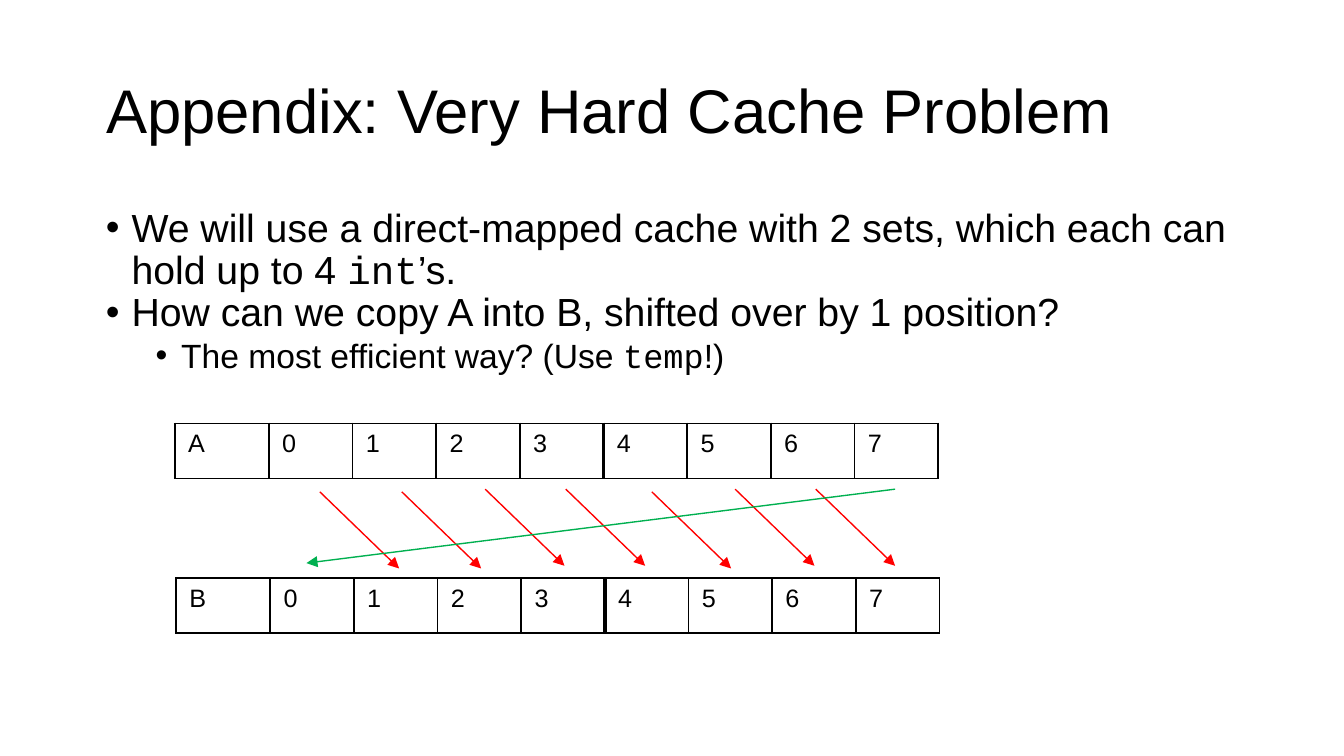
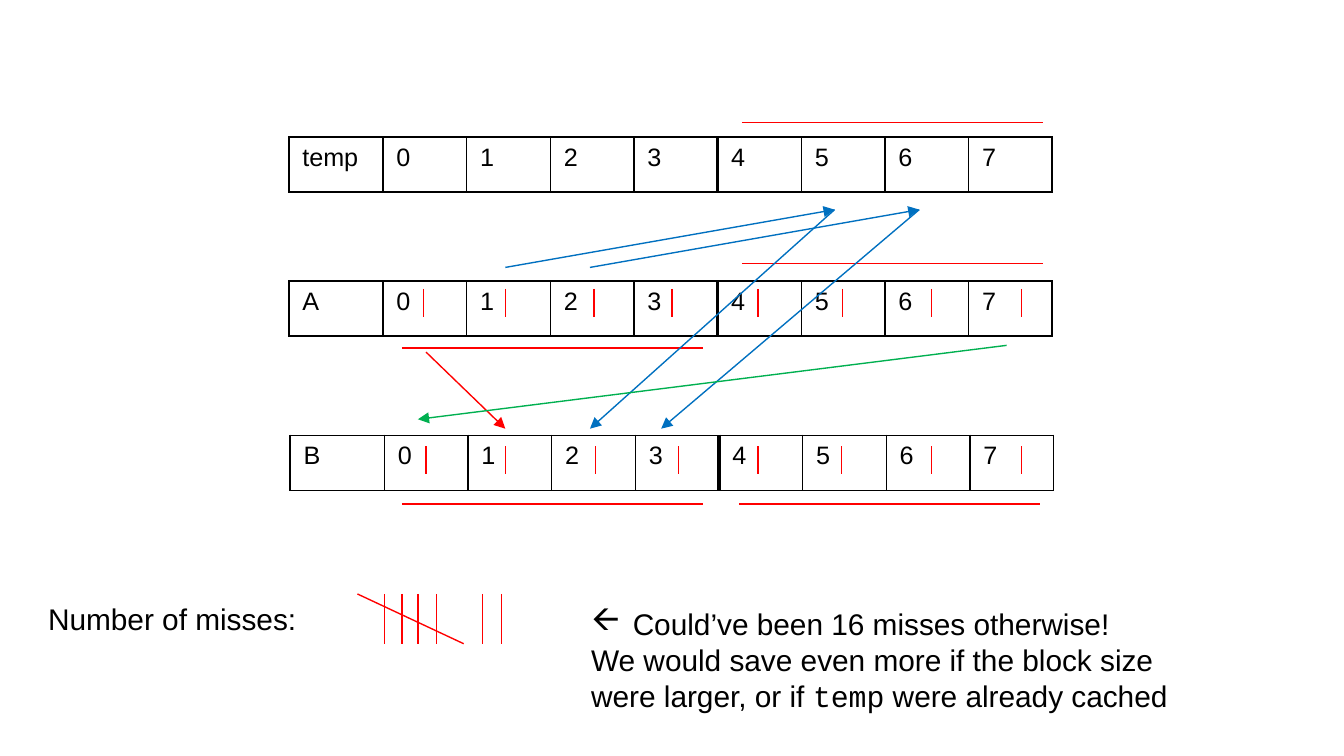
from dataclasses import dataclass

from lxml.etree import SubElement
from pptx import Presentation
from pptx.dml.color import RGBColor
from pptx.enum.shapes import MSO_CONNECTOR as Connector
from pptx.enum.text import MSO_ANCHOR as Anchor, MSO_AUTO_SIZE as AutoSize, PP_ALIGN as Align
from pptx.oxml.ns import qn
from pptx.util import Inches, Pt


@dataclass(frozen=True)
class Theme:
    ink: str = "000000"
    red: str = "FF0000"
    green: str = "00B050"
    blue: str = "0070C0"
    font: str = "Arial"
    code_font: str = "Courier New"
    symbol_font: str = "Wingdings"
    title_size: float = 33
    body_size: float = 21
    sub_size: float = 18
    note_size: float = 16
    cell_size: float = 13.5
    line: float = 0.75
    border: float = 0.96
    block_border: float = 2.21


THEME = Theme()

# Cache layout: label column, then one column per int, four ints to a block
INTS = 8
BLOCK = 4
LABEL_WIDTH = 0.7
INT_WIDTH = (5.68 - LABEL_WIDTH) / INTS
ROW_HEIGHT = 0.41

# Slide 1 content; text between backticks is code
TITLE = "Appendix: Very Hard Cache Problem"
QUESTIONS = [  # text, size, left indent, line spacing
    ("We will use a direct-mapped cache with 2 sets, which each can hold up to 4 `int`’s.",
     THEME.body_size, 0.19, 0.9),
    ("How can we copy A into B, shifted over by 1 position?", THEME.body_size, 0.19, 0.9),
    ("The most efficient way? (Use `temp`!)", THEME.sub_size, 0.56, 1.0),
]
PROBLEM_ARRAYS = [("A", 1.3, 3.15), ("B", 1.31, 4.3)]
SHIFT_STARTS = [(2.38, 3.66), (2.99, 3.66), (3.61, 3.64), (4.21, 3.64),
                (4.85, 3.66), (5.47, 3.64), (6.07, 3.64)]
SHIFT = (0.59, 0.57)
WRAP = (-4.38, 0.55)

# Slide 2 content
SOLUTION_ARRAYS = [("temp", 2.15, 1.02), ("A", 2.15, 2.09), ("B", 2.16, 3.24)]
ACCESS_TICKS = [  # top of the ticks, one x per int
    (2.15, [3.15, 3.76, 4.42, 5, 5.64, 6.27, 6.93, 7.6]),
    (3.32, [3.17, 3.76, 4.43, 5.05, 5.64, 6.26, 6.93, 7.6]),
]
TICK_HEIGHT = 0.21
LOADED_BLOCKS = [(5.52, 0.91), (5.52, 1.96), (2.99, 2.59), (2.99, 3.75), (5.5, 3.75)]
LOADED_WIDTH = 2.24
TEMP_ROUTES = [  # A, then temp, then B
    ((3.76, 1.99), (6.21, 1.56), (4.39, 3.19)),
    ((4.39, 1.99), (6.84, 1.56), (4.92, 3.19)),
]
FIRST_SHIFT = (3.17, 2.62)
LAST_WRAP = (7.49, 2.57)
MISSES = "Number of misses:"
MISS_STROKES = [2.86, 2.99, 3.11, 3.25, 3.59, 3.73]
MISS_TOP, MISS_BOTTOM = 4.42, 4.79
FIVE_SLASH = (2.66, 3.45)
LEFT_ARROW = "ß"  # drawn as a left arrow by the symbol font
SAVINGS = [
    "Could’ve been 16 misses otherwise!",
    "We would save even more if the block size were larger, or if `temp` were already cached",
]


def color(value):
    return RGBColor.from_string(value)


def write(paragraph, text, size):
    """Fill a paragraph, setting the parts between backticks in the code font."""
    for index, part in enumerate(text.split("`")):
        run = paragraph.add_run()
        run.text = part
        run.font.size = Pt(size)
        run.font.name = THEME.code_font if index % 2 else THEME.font
        run.font.color.rgb = color(THEME.ink)


def add_bullet(paragraph, mark, font, left, hang):
    props = paragraph._p.get_or_add_pPr()
    props.set("marL", str(Inches(left)))
    props.set("indent", str(-Inches(hang)))
    hue = SubElement(props, qn("a:buClr"))
    SubElement(hue, qn("a:srgbClr")).set("val", THEME.ink)
    SubElement(props, qn("a:buFont")).set("typeface", font)
    SubElement(props, qn("a:buChar")).set("char", mark)


def add_text(slide, box, lines, size):
    """Add a wrapped text box with one paragraph per line; return the paragraphs."""
    frame = slide.shapes.add_textbox(*map(Inches, box)).text_frame
    frame.word_wrap = True
    frame.auto_size = AutoSize.NONE
    for index, line in enumerate(lines):
        paragraph = frame.add_paragraph() if index else frame.paragraphs[0]
        write(paragraph, line, size)
    return frame.paragraphs


def add_line(slide, start, end, hue=THEME.red, arrow=False):
    line = slide.shapes.add_connector(Connector.STRAIGHT, *map(Inches, (*start, *end)))
    line.line.color.rgb = color(hue)
    line.line.width = Pt(THEME.line)
    props = line.element.spPr
    if arrow:
        SubElement(props.find(qn("a:ln")), qn("a:tailEnd")).set("type", "triangle")
    SubElement(props, qn("a:effectLst"))


def add_offset_arrow(slide, start, offset, hue):
    end = (start[0] + offset[0], start[1] + offset[1])
    add_line(slide, start, end, hue, arrow=True)


def set_borders(cell, column):
    """Thin borders, except the thick one between the two blocks."""
    thick = {"lnR": column == BLOCK, "lnL": column == BLOCK + 1}
    props = cell._tc.get_or_add_tcPr()
    for position, side in enumerate(("lnL", "lnR", "lnT", "lnB")):
        width = THEME.block_border if thick.get(side) else THEME.border
        border = SubElement(props, qn(f"a:{side}"))
        border.set("w", str(Pt(width)))
        fill = SubElement(border, qn("a:solidFill"))
        SubElement(fill, qn("a:srgbClr")).set("val", THEME.ink)
        props.insert(position, border)


def add_array(slide, name, left, top):
    width = LABEL_WIDTH + INTS * INT_WIDTH
    array = slide.shapes.add_table(
        1, INTS + 1, *map(Inches, (left, top, width, ROW_HEIGHT))).table
    array.first_row = array.horz_banding = False
    array.rows[0].height = Inches(ROW_HEIGHT)
    for column, label in enumerate([name, *map(str, range(INTS))]):
        array.columns[column].width = Inches(INT_WIDTH if column else LABEL_WIDTH)
        cell = array.cell(0, column)
        cell.fill.background()
        set_borders(cell, column)
        write(cell.text_frame.paragraphs[0], label, THEME.cell_size)


def build_problem(deck):
    slide = deck.slides.add_slide(deck.slide_layouts[5])

    # Title
    title = slide.shapes.title
    title.left, title.top, title.width, title.height = map(Inches, (0.69, 0.3, 8.62, 1.09))
    title.text_frame.vertical_anchor = Anchor.MIDDLE
    heading = title.text_frame.paragraphs[0]
    heading.alignment = Align.LEFT
    heading.line_spacing = 0.9
    write(heading, TITLE, THEME.title_size)

    # Questions
    texts = [question[0] for question in QUESTIONS]
    paragraphs = add_text(slide, (0.69, 1.5, 8.62, 3.57), texts, THEME.body_size)
    for paragraph, (_, size, left, spacing) in zip(paragraphs, QUESTIONS):
        paragraph.line_spacing = spacing
        add_bullet(paragraph, "•", THEME.font, left, 0.19)
        for run in paragraph.runs:
            run.font.size = Pt(size)
    paragraphs[-1].level = 1

    # Arrays and the moves between them
    for array in PROBLEM_ARRAYS:
        add_array(slide, *array)
    for start in SHIFT_STARTS:
        add_offset_arrow(slide, start, SHIFT, THEME.red)
    add_offset_arrow(slide, (6.66, 3.64), WRAP, THEME.green)


def build_solution(deck):
    slide = deck.slides.add_slide(deck.slide_layouts[6])

    # Arrays, accesses and loaded blocks
    for array in SOLUTION_ARRAYS:
        add_array(slide, *array)
    for top, ticks in ACCESS_TICKS:
        for x in ticks:
            add_line(slide, (x, top), (x, top + TICK_HEIGHT))
    for left, y in LOADED_BLOCKS:
        add_line(slide, (left, y), (left + LOADED_WIDTH, y))

    # Moves
    for source, temp, target in TEMP_ROUTES:
        add_line(slide, source, temp, THEME.blue, arrow=True)
        add_line(slide, temp, target, THEME.blue, arrow=True)
    add_offset_arrow(slide, FIRST_SHIFT, SHIFT, THEME.red)
    add_offset_arrow(slide, LAST_WRAP, WRAP, THEME.green)

    # Miss tally
    add_text(slide, (0.26, 4.42, 2.4, 0.36), [MISSES], THEME.note_size)
    for x in MISS_STROKES:
        add_line(slide, (x, MISS_TOP), (x, MISS_BOTTOM))
    add_line(slide, (FIVE_SLASH[0], MISS_TOP), (FIVE_SLASH[1], MISS_BOTTOM))

    # Savings
    savings = add_text(slide, (4.3, 4.46, 4.69, 0.9), SAVINGS, THEME.note_size)
    add_bullet(savings[0], LEFT_ARROW, THEME.symbol_font, 0.31, 0.31)


def main():
    deck = Presentation()
    deck.slide_width = Inches(10)
    deck.slide_height = deck.slide_width * 9 // 16
    build_problem(deck)
    build_solution(deck)
    deck.save("out.pptx")


if __name__ == "__main__":
    main()
